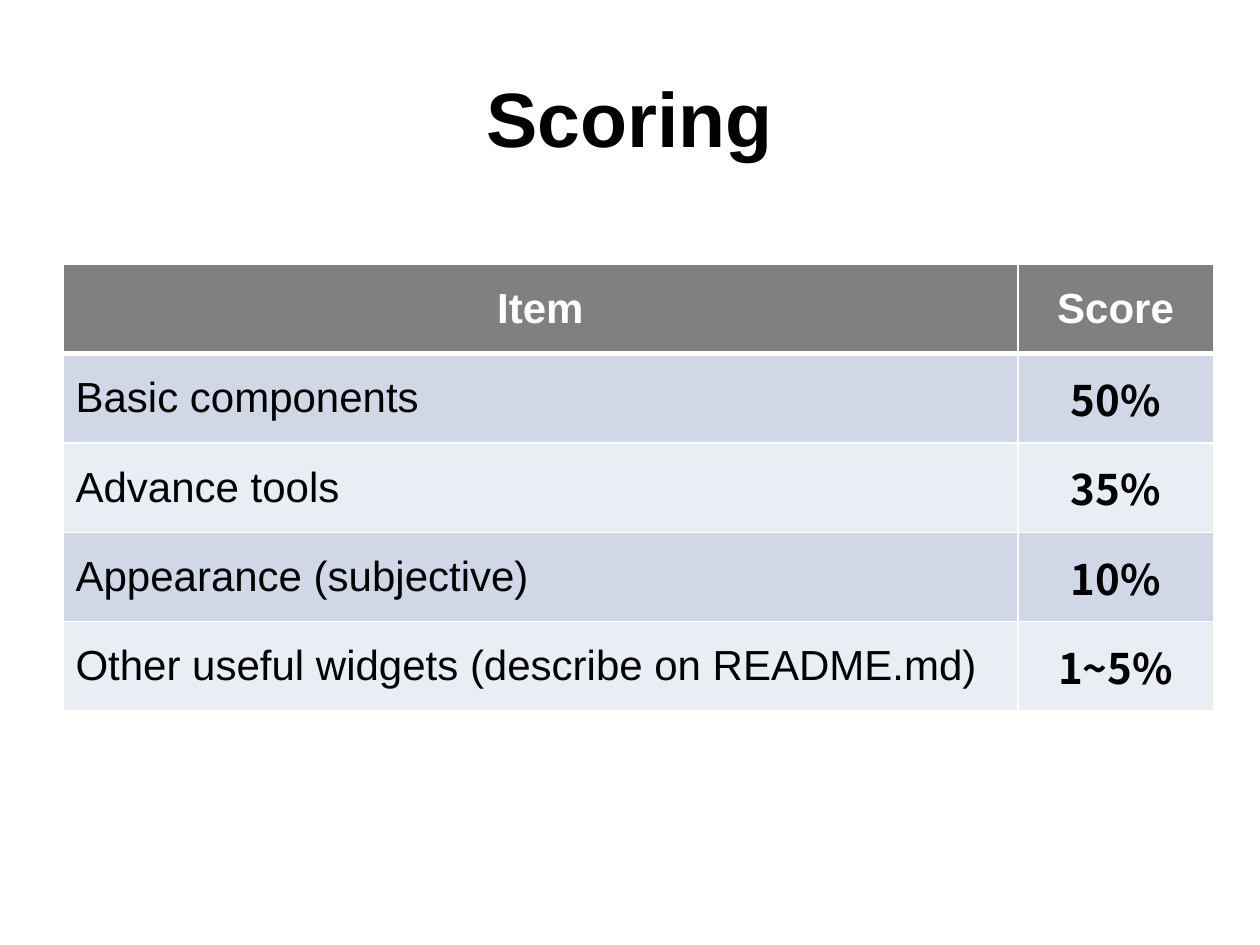
from collections import namedtuple
from dataclasses import dataclass

import lxml.etree
import pptx
import pptx.dml.color
import pptx.enum.text
import pptx.oxml.ns
import pptx.util

Cm = pptx.util.Cm
Pt = pptx.util.Pt
Align = pptx.enum.text.PP_ALIGN
Anchor = pptx.enum.text.MSO_ANCHOR
Box = namedtuple("Box", "left top width height")


@dataclass(frozen=True)
class Theme:
    font: str = "Arial"
    score_font: str = "Noto Sans CJK SC"
    title_size: int = 44
    table_size: int = 24
    black: str = "000000"
    white: str = "FFFFFF"
    header_fill: str = "808080"
    band_fills: tuple = ("D0D8E8", "E9EDF4")
    thin_line: float = 1
    thick_line: float = 3


THEME = Theme()
SCORES = (
    ("Item", "Score"),
    ("Basic components", "50%"),
    ("Advance tools", "35%"),
    ("Appearance (subjective)", "10%"),
    ("Other useful widgets (describe on README.md)", "1~5%"),
)
ITEM_SHARE = 0.83


def rgb(color):
    return pptx.dml.color.RGBColor.from_string(color)


def write(frame, text, size, color, bold, font=THEME.font, align=Align.CENTER):
    para = frame.paragraphs[0]
    para.alignment = align
    span = para.add_run()
    span.text = text
    span.font.name = font
    span.font.size = Pt(size)
    span.font.bold = bold
    span.font.color.rgb = rgb(color)


def add_borders(cell, top, bottom):
    properties = cell._tc.get_or_add_tcPr()
    thin = THEME.thin_line
    for side, width in (("L", thin), ("R", thin), ("T", top), ("B", bottom)):
        line = lxml.etree.SubElement(
            properties, pptx.oxml.ns.qn(f"a:ln{side}"), w=str(Pt(width)))
        fill = lxml.etree.SubElement(line, pptx.oxml.ns.qn("a:solidFill"))
        lxml.etree.SubElement(fill, pptx.oxml.ns.qn("a:srgbClr"), val=THEME.white)


def add_title(page, box, text):
    frame = page.shapes.add_textbox(*box).text_frame
    frame.word_wrap = True
    frame.vertical_anchor = Anchor.MIDDLE
    write(frame, text, THEME.title_size, THEME.black, True)


def add_score_table(page, box, rows):
    table = page.shapes.add_table(len(rows), len(rows[0]), *box).table
    item_width = int(box.width * ITEM_SHARE)
    table.columns[0].width = item_width
    table.columns[1].width = box.width - item_width
    for row_index, row in enumerate(rows):
        header = row_index == 0
        fill = THEME.header_fill if header else THEME.band_fills[(row_index - 1) % 2]
        color = THEME.white if header else THEME.black
        top = THEME.thick_line if row_index == 1 else THEME.thin_line
        bottom = THEME.thick_line if header else THEME.thin_line
        for column_index, text in enumerate(row):
            score = column_index == 1
            cell = table.cell(row_index, column_index)
            cell.vertical_anchor = Anchor.MIDDLE
            add_borders(cell, top, bottom)
            cell.fill.solid()
            cell.fill.fore_color.rgb = rgb(fill)
            write(
                cell.text_frame, text, THEME.table_size, color,
                bold=header or score,
                font=THEME.score_font if score and not header else THEME.font,
                align=Align.CENTER if header or score else Align.LEFT,
            )


def main():
    deck = pptx.Presentation()
    deck.slide_width = Cm(25.4)
    deck.slide_height = Cm(19.05)
    page = deck.slides.add_slide(deck.slide_layouts[6])
    add_title(page, Box(Cm(1.27), Cm(0.76), Cm(22.86), Cm(3.18)), "Scoring")
    add_score_table(page, Box(Cm(1.27), Cm(5.33), Cm(23.19), Cm(9)), SCORES)
    deck.save("out.pptx")


if __name__ == "__main__":
    main()
